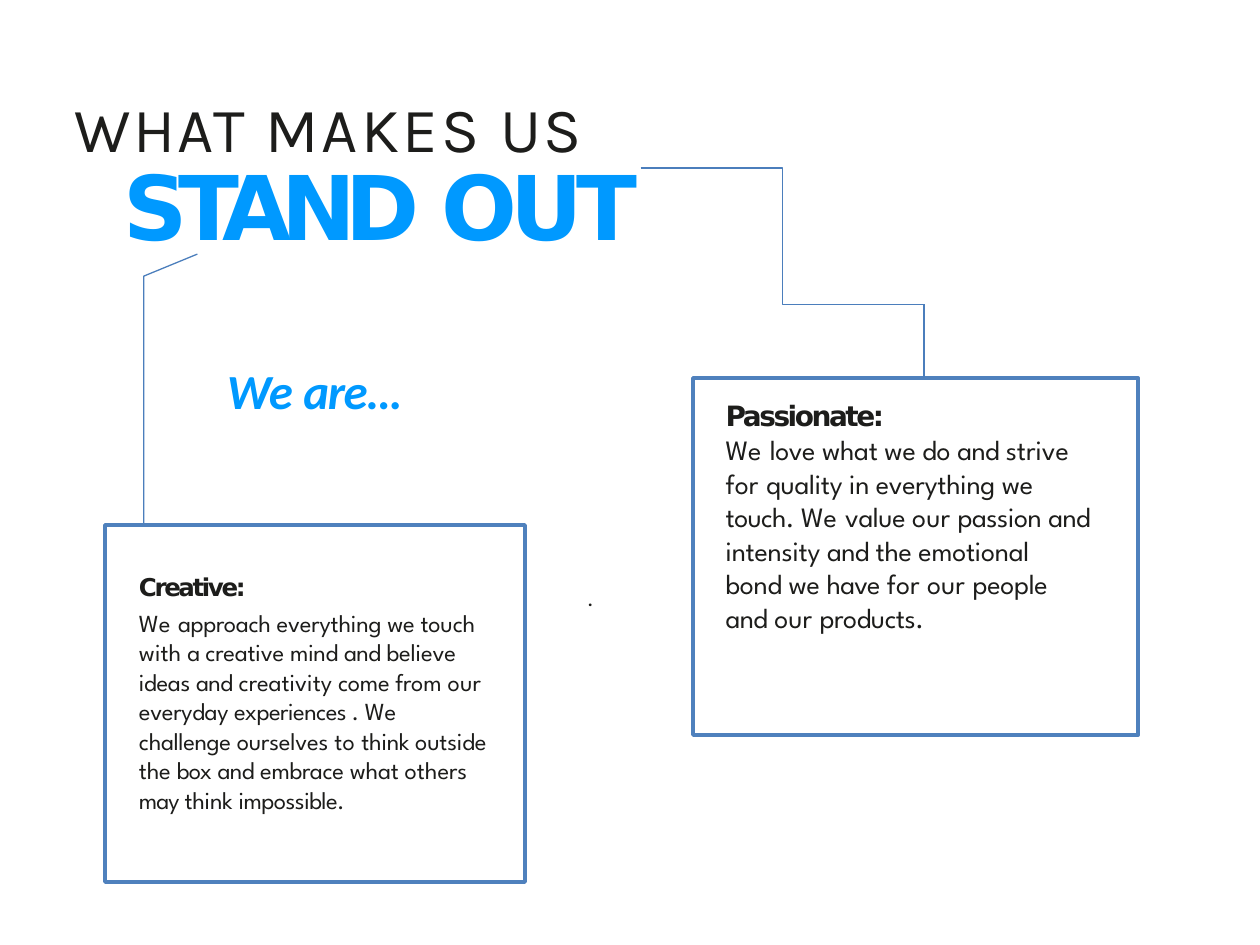
from lxml import etree
from pptx import Presentation
from pptx.dml.color import RGBColor
from pptx.enum.shapes import MSO_CONNECTOR, MSO_SHAPE
from pptx.enum.text import MSO_ANCHOR, PP_ALIGN
from pptx.oxml.ns import qn
from pptx.util import Inches, Pt

RECT = MSO_SHAPE.RECTANGLE
STRAIGHT, ELBOW = MSO_CONNECTOR.STRAIGHT, MSO_CONNECTOR.ELBOW
LEFT, TOP = PP_ALIGN.LEFT, MSO_ANCHOR.TOP

BLUE, INK, FRAME, WIRE = "0099FF", "1D1D1B", "4F81BD", "4B7EBC"
HEAD_FONT, BODY_FONT, TITLE_FONT = "DejaVu Sans", "League Spartan", "Karla"

# Each run is its letter spacing in points and its text.
CREATIVE = [
    (0.4, "We "), (-0.2, "approach "), (-0.1, "everything we touch "),
    (0, "with "), (-0.6, "a "), (-0.1, "creative "), (-0.2, "mind "),
    (-0.3, "and "), (-0.1, "believe "), (-0.2, "ideas "), (-0.3, "and "),
    (0, "creativity "), (-0.2, "come "), (-0.1, "from "), (0.1, "our "),
    (-0.2, "everyday "), (-0.3, "experiences . "), (0.4, "We "),
    (-0.2, "challenge "), (-0.1, "ourselves "), (0.1, "to "),
    (-0.1, "think outside the "), (-0.4, "box "), (-0.3, "and "),
    (-0.2, "embrace "), (-0.1, "what "), (0, "others "), (-0.6, "may "),
    (-0.1, "think "), (-0.3, "impossible."),
]
PASSIONATE = [
    (0.4, "We "), (-0.2, "love "), (-0.1, "what we do "), (-0.3, "and "),
    (0, "strive "), (0.1, "for "), (-0.1, "quality in everything we "),
    (-0.3, "touch. "), (0.4, "We "), (-0.2, "value "), (0.1, "our "),
    (-0.2, "passion "), (-0.3, "and "), (-0.1, "intensity "), (-0.3, "and "),
    (-0.1, "the emotional bond we "), (-0.4, "have "), (0.1, "for our "),
    (-0.1, "people "), (-0.3, "and "), (0.1, "our "), (-0.2, "products."),
]


def grid(*cells):
    """Lengths from cells of a 120 by 90 grid, twelve cells to the inch."""
    return [Inches(n / 12) for n in cells]


def color(value):
    return RGBColor.from_string(value)


def set_line(sp, value, width):
    sp.line.color.rgb = color(value)
    sp.line.width = Pt(width)


def add_frame(slide, *cells):
    sp = slide.shapes.add_shape(RECT, *grid(*cells))
    sp.shadow.inherit = False
    sp.fill.solid()
    sp.fill.fore_color.rgb = color("FFFFFF")
    set_line(sp, FRAME, 2)
    return sp


def add_wire(slide, kind, *cells):
    cxn = slide.shapes.add_connector(kind, *grid(*cells))
    set_line(cxn, WIRE, 0.75)
    etree.SubElement(cxn._element.spPr, qn("a:effectLst"))


def add_wire_path(slide, start, *points):
    builder = slide.shapes.build_freeform(*grid(*start))
    builder.add_line_segments([grid(*pt) for pt in points], close=False)
    sp = builder.convert_to_shape()
    sp.shadow.inherit = False
    sp.fill.background()
    set_line(sp, WIRE, 0.75)


def prepare_text(sp, left=0, top=0, right=0):
    """Set the insets in inches and return the text frame."""
    tf = sp.text_frame
    tf.word_wrap = True
    tf.vertical_anchor = TOP
    tf.margin_left, tf.margin_top = Inches(left), Inches(top)
    tf.margin_right, tf.margin_bottom = Inches(right), 0
    return tf


def add_text_box(slide, *cells):
    return prepare_text(slide.shapes.add_textbox(*grid(*cells)))


def write(p, runs, font, size, ink=INK, bold=False, italic=False, indent=0.01):
    """Fill a paragraph with runs of (letter spacing, text)."""
    p.alignment = LEFT
    p._p.get_or_add_pPr().set("marL", str(Inches(indent)))
    for spacing, text in runs:
        r = p.add_run()
        r.text = text
        r.font.name, r.font.size = font, Pt(size)
        r.font.bold, r.font.italic = bold, italic
        r.font.color.rgb = color(ink)
        r._r.get_or_add_rPr().set("spc", str(round(spacing * 100)))


def write_value(tf, heading, body, size, gap=0):
    """Write a bold heading and the paragraph below it."""
    write(tf.paragraphs[0], [(-1.4, heading)], HEAD_FONT, size, bold=True)
    p = tf.add_paragraph()
    p.space_before = Pt(gap)
    write(p, body, BODY_FONT, size)


def write_title(tf):
    top, bottom = tf.paragraphs[0], tf.add_paragraph()
    top.line_spacing, bottom.line_spacing = Pt(35.5), Pt(53.4)
    write(top, [(1.4, "WHAT "), (1.8, "MAKES "), (0.7, "US")], TITLE_FONT, 36)
    write(bottom, [(-5.7, "STAND "), (-3.8, "OUT")], HEAD_FONT, 51, BLUE,
          bold=True, indent=0.4)


def main():
    prs = Presentation()
    prs.slide_width, prs.slide_height = grid(120, 90)
    slide = prs.slides.add_slide(prs.slide_layouts[6])

    tf = add_text_box(slide, 21.5, 34.3, 17, 5.6)
    write(tf.paragraphs[0], [(-0.3, "We "), (-0.8, "are...")], "Calibri", 28,
          BLUE, bold=True, italic=True)

    add_wire_path(slide, (18.8, 24.2), (13.7, 26.3), (13.7, 51.7))
    add_frame(slide, 66, 36, 42.4, 34)
    creative = add_frame(slide, 10, 50, 40, 34)
    write_value(prepare_text(creative, 0.26, 0.37, 0.3),
                "Creative:", CREATIVE, 14, gap=4)
    write_value(add_text_box(slide, 69, 38, 35, 35.5),
                "Passionate:", PASSIONATE, 16)

    tf = add_text_box(slide, 55.9, 55.4, 28.8, 2.9)
    write(tf.paragraphs[0], [(-0.2, ".")], TITLE_FONT, 14)

    write_title(add_text_box(slide, 7, 9.8, 86, 14.9))
    add_wire(slide, ELBOW, 61, 16, 88, 29)
    add_wire(slide, STRAIGHT, 88, 29, 88, 36)
    prs.save("out.pptx")


if __name__ == "__main__":
    main()
